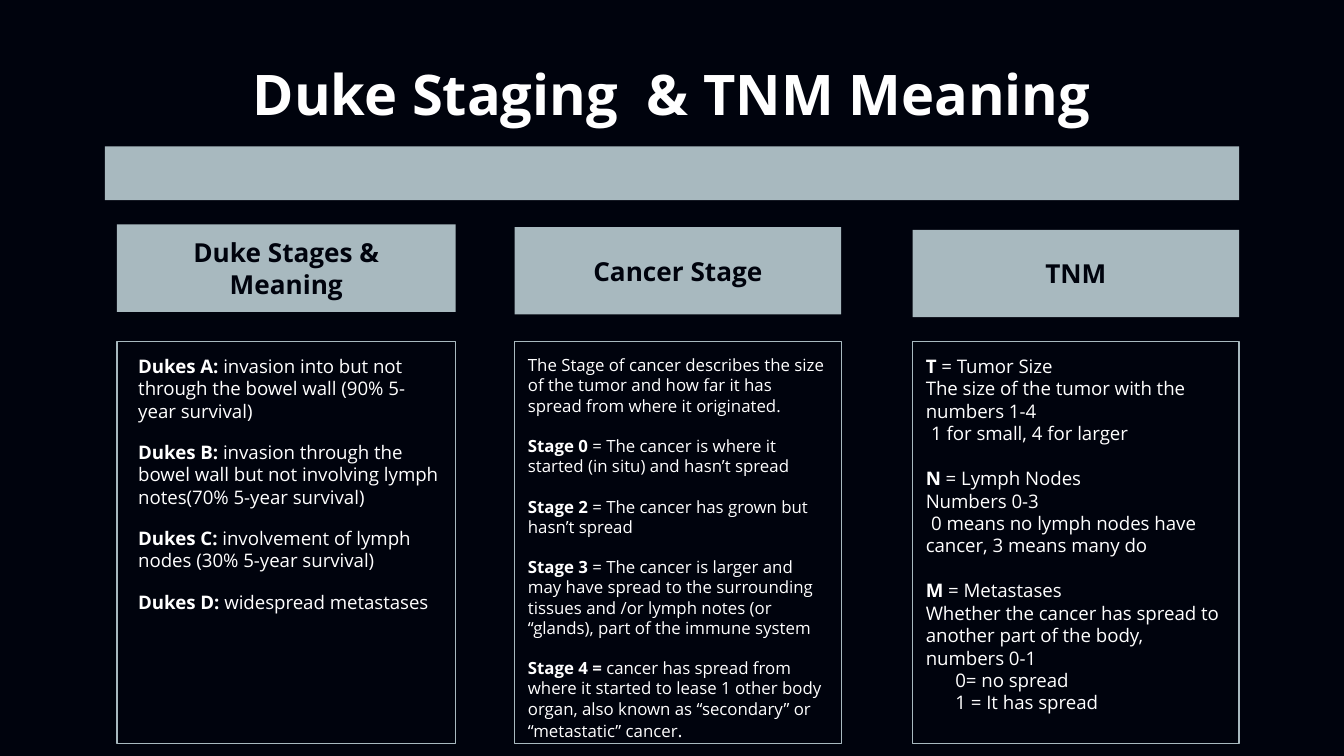
import pptx
import pptx.util
import pptx.dml.color
import pptx.enum.shapes
import pptx.enum.text

Inches, Pt = pptx.util.Inches, pptx.util.Pt
ALIGN, ANCHOR = pptx.enum.text.PP_ALIGN, pptx.enum.text.MSO_ANCHOR
DARK, GREY, WHITE = "00030D", "A8B9BF", "FFFFFF"

# Each entry: bold lead, plain rest, space before, left margin, first-line indent
DUKES = [
    ("Dukes A: ", "invasion into but not through the bowel wall (90% 5-year survival)", 0, 0.06, 0),
    ("Dukes B: ", "invasion through the bowel wall but not involving lymph notes(70% 5-year survival)", 10, 0.06, 0),
    ("Dukes C: ", "involvement of lymph nodes (30% 5-year survival)", 10, 0.06, 0),
    ("Dukes D: ", "widespread metastases", 10, 0.06, 0),
]
STAGES = [
    ("", "The Stage of cancer describes the size of the tumor and how far it has spread from where it originated.", 0, 0, 0),
    ("Stage 0 ", "= The cancer is where it started (in situ) and hasn’t spread", 10.8, 0, 0),
    ("Stage 2 ", "= The cancer has grown but hasn’t spread", 10.8, 0, 0),
    ("Stage 3 ", "= The cancer is larger and may have spread to the surrounding tissues and /or lymph notes (or “glands), part of the immune system", 10.8, 0, 0),
    ("Stage 4 = ", "cancer has spread from where it started to lease 1 other body organ, also known as “secondary” or “metastatic” cancer", 10.8, 0, 0),
]
TNM = [
    ("T", " = Tumor Size", 0, 0, 0),
    ("", "The size of the tumor with the numbers 1-4", 0, 0, 0),
    ("", "1 for small, 4 for larger", 0, 0, 0.04),
    ("N ", "= Lymph Nodes", 12, 0, 0),
    ("", "Numbers 0-3", 0, 0, 0),
    ("", "0 means no lymph nodes have cancer, 3 means many do", 0, 0, 0.04),
    ("M ", "= Metastases", 12, 0, 0),
    ("", "Whether the cancer has spread to another part of the body, numbers 0-1", 0, 0, 0),
    ("", "0= no spread", 0, 0.22, 0),
    ("", "1 = It has spread", 0, 0.22, 0),
]
# Heading, width, text size, entries
COLUMNS = [
    ("Duke Stages &\nMeaning", 2.52, 10, DUKES),
    ("Cancer Stage", 2.43, 9, STAGES),
    ("TNM", 2.43, 10, TNM),
]


def tint(value):
    return pptx.dml.color.RGBColor.from_string(value)


def style(run, size, color, bold):
    font = run.font
    font.name, font.size, font.bold = "Open Sans", Pt(size), bold
    font.color.rgb = tint(color)


def frame(shape, anchor):
    text = shape.text_frame
    text.word_wrap = True
    text.vertical_anchor = anchor
    text.margin_left = text.margin_right = Inches(0.1)
    text.margin_top = text.margin_bottom = Inches(0.1)
    return text


def label(shape, words, size, color, anchor):
    text = frame(shape, anchor)
    text.text = words
    for para in text.paragraphs:
        para.alignment = ALIGN.CENTER
        for run in para.runs:
            style(run, size, color, True)


def block(slide, x, y, w, h, fill=None):
    shape = slide.shapes.add_shape(
        pptx.enum.shapes.MSO_SHAPE.RECTANGLE, Inches(x), Inches(y), Inches(w), Inches(h))
    shape.shadow.inherit = False
    if fill:
        shape.fill.solid()
        shape.fill.fore_color.rgb = tint(fill)
        shape.line.fill.background()
    else:
        shape.fill.background()
        shape.line.color.rgb = tint(GREY)
        shape.line.width = Pt(0.75)
    return shape


def add_run(para, words, size, bold=False):
    run = para.add_run()
    run.text = words
    style(run, size, WHITE, bold)


def body(shape, size, entries):
    text = frame(shape, ANCHOR.TOP)
    for i, (lead, rest, gap, left, first) in enumerate(entries):
        para = text.add_paragraph() if i else text.paragraphs[0]
        para.alignment = ALIGN.LEFT
        para.space_before = Pt(gap)
        props = para._p.get_or_add_pPr()
        props.set("marL", str(Inches(left)))
        props.set("indent", str(Inches(first)))
        if lead:
            add_run(para, lead, size, True)
        add_run(para, rest, size)
    return text


def main():
    # A 16:9 slide
    deck = pptx.Presentation()
    deck.slide_width = Inches(10)
    deck.slide_height = Inches(10 * 9 / 16)
    slide = deck.slides.add_slide(deck.slide_layouts[6])
    slide.background.fill.solid()
    slide.background.fill.fore_color.rgb = tint(DARK)

    # Title and bar
    title = slide.shapes.add_textbox(Inches(0.78), Inches(0.34), Inches(8.44), Inches(0.65))
    label(title, "Duke Staging  & TNM Meaning", 30, WHITE, ANCHOR.TOP)
    block(slide, 0.78, 1.09, 8.44, 0.4, GREY)

    # Three columns, each heading a little lower than the last
    texts = []
    for i, (head, width, size, entries) in enumerate(COLUMNS):
        x = 0.87 + 2.96 * i
        label(block(slide, x, 1.67 + 0.02 * i, width, 0.65, GREY), head, 14, DARK, ANCHOR.MIDDLE)
        texts.append(body(block(slide, x, 2.54, width, 2.99), size, entries))

    # The closing full stop of the stages is larger
    add_run(texts[1].paragraphs[-1], ".", 10)

    deck.save("out.pptx")


if __name__ == "__main__":
    main()
